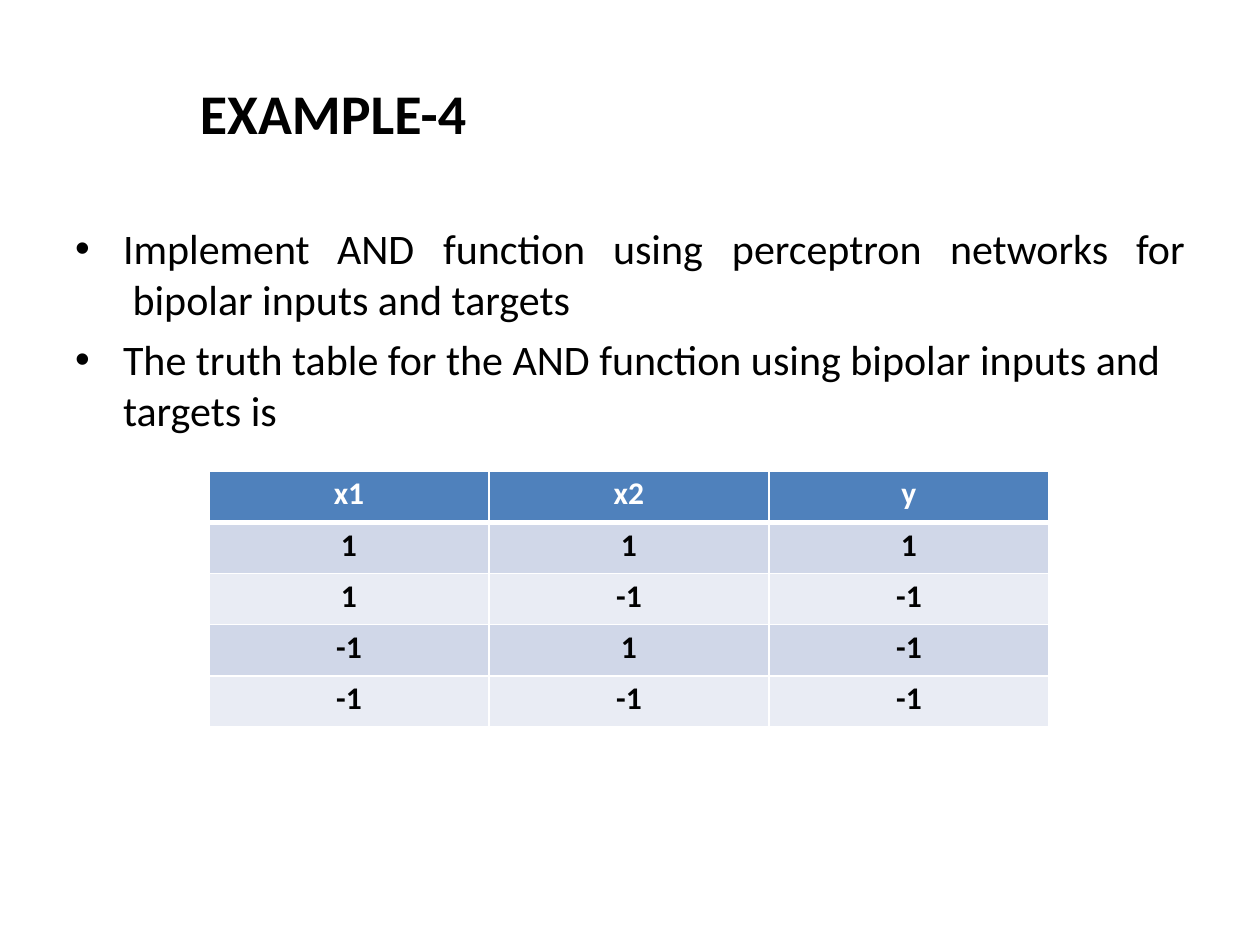
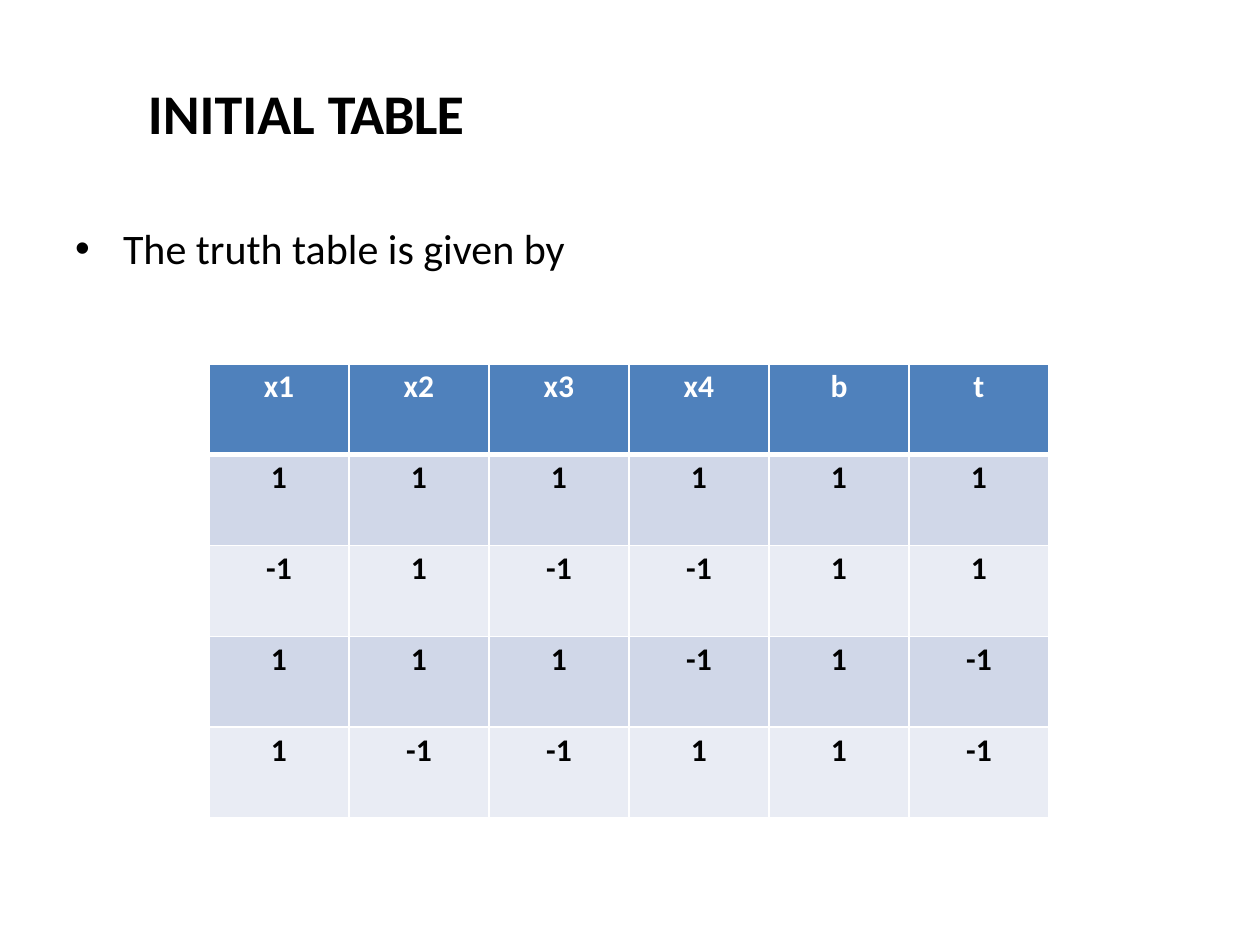
from lxml.etree import SubElement
from pptx import Presentation
from pptx.dml.color import RGBColor
from pptx.enum.text import MSO_AUTO_SIZE, PP_ALIGN
from pptx.oxml import parse_xml
from pptx.oxml.ns import nsdecls, qn
from pptx.util import Emu, Pt

PX = 914400 / 126
FONT = "Calibri"
BLACK, WHITE = "000000", "FFFFFF"
HEADER, BANDS = "4F81BC", ("D0D7E8", "E9ECF4")
TABLE_LEFT, TABLE_WIDTH = 209, 840
BODY_LEFT, BODY_TOP, BODY_INDENT = 74, 222, 49
WORD_TABS = (263, 369, 539, 658, 876, 1062)


def px(n):
    """Turn pixels into EMU."""
    return Emu(round(n * PX))


def rgb(color):
    """Turn a hex string into a colour."""
    return RGBColor.from_string(color)


def add_run(p, text, size, color=BLACK, bold=False, spacing=0):
    """Add one run; spacing is in hundredths of a point."""
    r = p.add_run()
    r.text = text
    r.font.name, r.font.size, r.font.bold = FONT, Pt(size), bold
    r.font.color.rgb = rgb(color)
    if spacing:
        r.font._element.set("spc", str(spacing))


def add_box(slide, left, top, width, height):
    """Add a wrapping text box without side margins and return its frame."""
    tf = slide.shapes.add_textbox(px(left), px(top), px(width), px(height)).text_frame
    tf.word_wrap = True
    tf.auto_size = MSO_AUTO_SIZE.SHAPE_TO_FIT_TEXT
    tf.margin_left = tf.margin_right = tf.margin_bottom = 0
    tf.margin_top = px(1)
    return tf


def add_title(slide, left, width, runs):
    """Add the bold slide title from (text, spacing) pairs."""
    p = add_box(slide, left, 78, width, 71).paragraphs[0]
    p.space_before = Pt(1.1)
    for text, spacing in runs:
        add_run(p, text, 32, bold=True, spacing=spacing)


def set_bullet(p, tabs):
    """Give a paragraph a hanging bullet and left tab stops."""
    pPr = p._p.get_or_add_pPr()
    pPr.set("marL", str(px(BODY_INDENT)))
    pPr.set("indent", str(-px(BODY_INDENT - 1)))
    SubElement(pPr, qn("a:buFont"), typeface="Arial")
    SubElement(pPr, qn("a:buChar"), char="•")
    stops = SubElement(pPr, qn("a:tabLst"))
    for pos in (BODY_INDENT, *tabs):
        SubElement(stops, qn("a:tab"), pos=str(px(pos)), algn="l")


def add_bullets(slide, width, height, items):
    """Add the bulleted body from (text, tab stops) pairs."""
    tf = add_box(slide, BODY_LEFT, BODY_TOP, width, height)
    for i, (text, tabs) in enumerate(items):
        p = tf.add_paragraph() if i else tf.paragraphs[0]
        p.space_before = Pt(5.8 if i else 1)
        set_bullet(p, tabs)
        add_run(p, text, 24)


def set_borders(cell, top, bottom):
    """Draw white cell borders with the given top and bottom points."""
    tcPr = cell._tc.get_or_add_tcPr()
    for i, (side, width) in enumerate(zip("LRTB", (1, 1, top, bottom))):
        tcPr.insert(i, parse_xml(
            f'<a:ln{side} {nsdecls("a")} w="{Pt(width)}"><a:solidFill>'
            f'<a:srgbClr val="{WHITE}"/></a:solidFill></a:ln{side}>'))


def fill_cell(cell, text, row):
    """Write and style one cell according to its row."""
    header = row == 0
    cell.margin_left = cell.margin_right = cell.margin_bottom = 0
    cell.margin_top = px(4)
    cell.fill.solid()
    cell.fill.fore_color.rgb = rgb(HEADER if header else BANDS[(row - 1) % 2])
    set_borders(cell, 3 if row == 1 else 1, 3 if header else 1)
    p = cell.text_frame.paragraphs[0]
    p.alignment = PP_ALIGN.CENTER
    p.space_before = Pt(2.5)
    add_run(p, text, 18, WHITE if header else BLACK, bold=True)


def add_truth_table(slide, top, height, rows):
    """Add a banded table with equal rows and columns."""
    table = slide.shapes.add_table(
        len(rows), len(rows[0]), px(TABLE_LEFT), px(top),
        px(TABLE_WIDTH), px(height)).table
    for i, values in enumerate(rows):
        for j, value in enumerate(values):
            fill_cell(table.cell(i, j), str(value), i)


def add_example_slide(prs):
    """Build the slide that states the AND example."""
    slide = prs.slides.add_slide(prs.slide_layouts[6])
    add_title(slide, 200, 566, [("EXAMPLE-4", 0)])
    add_bullets(slide, 1113, 215, [
        ("Implement\tAND\tfunction\tusing\tperceptron\tnetworks\tfor "
         " bipolar inputs and targets", WORD_TABS),
        ("The truth table for the AND function using bipolar inputs and "
         "targets is", ()),
    ])
    add_truth_table(slide, 471, 256, [
        ("x1", "x2", "y"),
        (1, 1, 1),
        (1, -1, -1),
        (-1, 1, -1),
        (-1, -1, -1),
    ])


def add_initial_slide(prs):
    """Build the slide with the initial table."""
    slide = prs.slides.add_slide(prs.slide_layouts[6])
    add_title(slide, 148, 644, [("INITIAL ", 0), ("TABLE", -50)])
    add_bullets(slide, 662, 54, [("The truth table is given by", ())])
    add_truth_table(slide, 364, 454, [
        ("x1", "x2", "x3", "x4", "b", "t"),
        (1, 1, 1, 1, 1, 1),
        (-1, 1, -1, -1, 1, 1),
        (1, 1, 1, -1, 1, -1),
        (1, -1, -1, 1, 1, -1),
    ])


def main():
    """Build and save the presentation."""
    prs = Presentation()
    prs.slide_width, prs.slide_height = px(1260), px(945)
    add_example_slide(prs)
    add_initial_slide(prs)
    prs.save("out.pptx")


if __name__ == "__main__":
    main()
